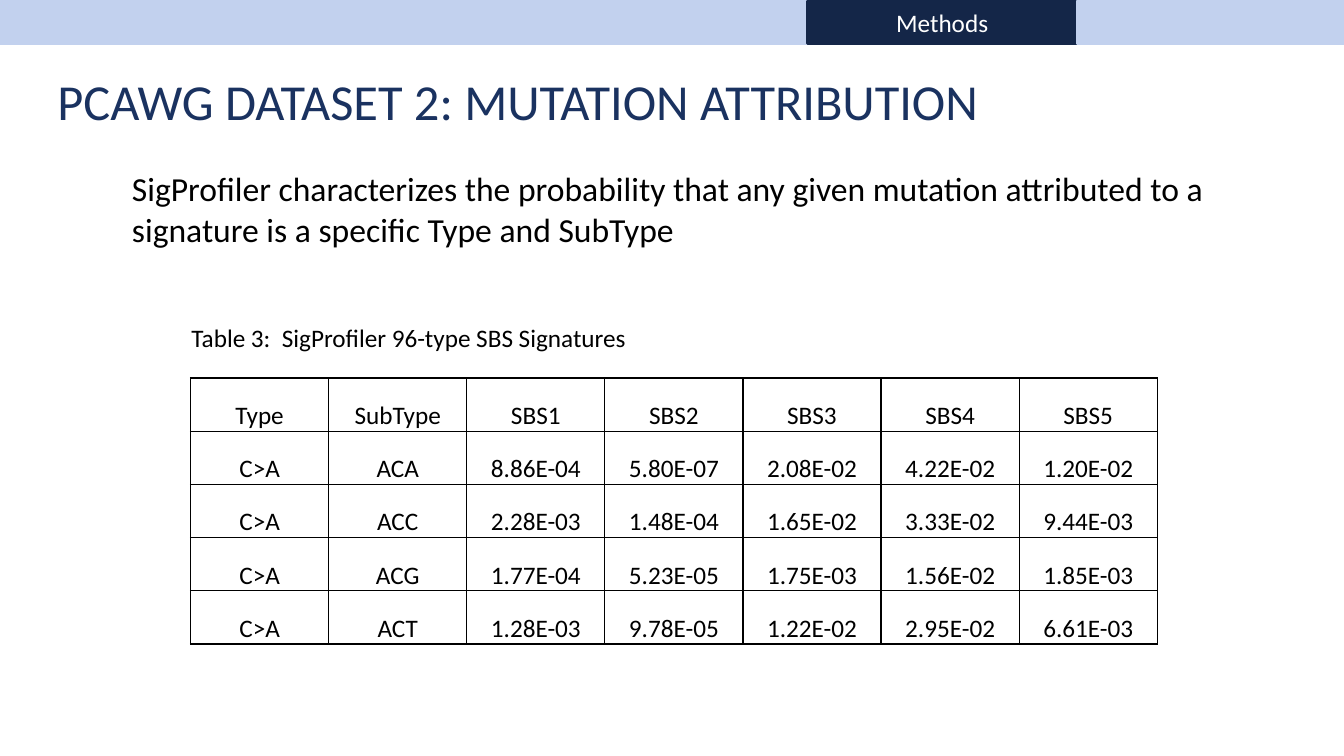
from lxml.etree import SubElement
from pptx import Presentation
from pptx.dml.color import RGBColor
from pptx.enum.shapes import MSO_SHAPE
from pptx.enum.text import MSO_ANCHOR as ANCHOR, MSO_AUTO_SIZE as AUTO_SIZE, PP_ALIGN as ALIGN
from pptx.oxml.ns import qn
from pptx.util import Inches, Pt

SLIDE_WIDTH, SLIDE_HEIGHT = 13.33, 7.5
NAVY, PALE_BLUE, TITLE_BLUE = "142648", "C2D1EE", "1A3260"
BLACK, WHITE = "000000", "FFFFFF"

SECTIONS = ["", "", "", "Methods", ""]
SIGNATURES = [
    ["Type", "SubType", "SBS1", "SBS2", "SBS3", "SBS4", "SBS5"],
    ["C>A", "ACA", "8.86E-04", "5.80E-07", "2.08E-02", "4.22E-02", "1.20E-02"],
    ["C>A", "ACC", "2.28E-03", "1.48E-04", "1.65E-02", "3.33E-02", "9.44E-03"],
    ["C>A", "ACG", "1.77E-04", "5.23E-05", "1.75E-03", "1.56E-02", "1.85E-03"],
    ["C>A", "ACT", "1.28E-03", "9.78E-05", "1.22E-02", "2.95E-02", "6.61E-03"],
]
CELL_FORMAT = {
    "vertical_anchor": ANCHOR.BOTTOM,
    "margin_left": Inches(0.01),
    "margin_right": Inches(0.01),
    "margin_top": Inches(0.01),
    "margin_bottom": Inches(0),
}


def color(hex_value):
    return RGBColor.from_string(hex_value)


def set_attributes(target, values):
    for name, value in values.items():
        setattr(target, name, value)


def write(frame, words, size, hex_color, align=ALIGN.LEFT):
    frame.text = words
    paragraph = frame.paragraphs[0]
    paragraph.alignment = align
    set_attributes(paragraph.font, {"name": "Calibri", "size": Pt(size)})
    paragraph.font.color.rgb = color(hex_color)


def add_title(slide, words):
    title = slide.shapes.title
    set_attributes(title, {"left": Inches(0.47), "top": Inches(0.65),
                           "width": Inches(12.27), "height": Inches(0.7)})
    set_attributes(title.text_frame, {"vertical_anchor": ANCHOR.BOTTOM,
                                      "auto_size": AUTO_SIZE.NONE})
    write(title.text_frame, words, 36, TITLE_BLUE)


def add_section_bar(slide):
    pitch = 2.67
    for index, section in enumerate(SECTIONS):
        left = index * pitch
        width = min(pitch, SLIDE_WIDTH - left)
        tab = slide.shapes.add_shape(MSO_SHAPE.RECTANGLE, Inches(left), Inches(0.01),
                                     Inches(width), Inches(0.42))
        tab.shadow.inherit = False
        tab_color = color(NAVY if section else PALE_BLUE)
        tab.fill.solid()
        tab.fill.fore_color.rgb = tab_color
        tab.line.color.rgb = tab_color
        tab.line.width = Pt(1.75)
        if section:
            tab.text_frame.vertical_anchor = ANCHOR.MIDDLE
            write(tab.text_frame, section, 18, WHITE, ALIGN.CENTER)


def add_text(slide, words, left, top, width, height, size):
    frame = slide.shapes.add_textbox(Inches(left), Inches(top),
                                     Inches(width), Inches(height)).text_frame
    set_attributes(frame, {"word_wrap": True, "auto_size": AUTO_SIZE.SHAPE_TO_FIT_TEXT})
    write(frame, words, size, BLACK)


def add_borders(cell):
    properties = cell._tc.get_or_add_tcPr()
    for side in ("a:lnL", "a:lnR", "a:lnT", "a:lnB"):
        border = SubElement(properties, qn(side), w=str(Pt(1)))
        fill = SubElement(border, qn("a:solidFill"))
        SubElement(fill, qn("a:srgbClr"), val=BLACK)


def add_signature_table(slide):
    rows, columns = len(SIGNATURES), len(SIGNATURES[0])
    table = slide.shapes.add_table(rows, columns, Inches(1.89), Inches(3.75),
                                   Inches(9.59), Inches(2.64)).table
    set_attributes(table, {"first_row": False, "horz_banding": False})
    for row, values in enumerate(SIGNATURES):
        for column, value in enumerate(values):
            cell = table.cell(row, column)
            set_attributes(cell, CELL_FORMAT)
            add_borders(cell)
            cell.fill.background()
            write(cell.text_frame, value, 18, BLACK, ALIGN.CENTER)


def main():
    deck = Presentation()
    set_attributes(deck, {"slide_width": Inches(SLIDE_WIDTH),
                          "slide_height": Inches(SLIDE_HEIGHT)})
    slide = deck.slides.add_slide(deck.slide_layouts[5])

    # Heading and section navigation
    add_title(slide, "PCAWG DATASET 2: MUTATION ATTRIBUTION")
    add_section_bar(slide)

    # Captioned table of signatures
    add_text(slide, "Table 3:  SigProfiler 96-type SBS Signatures", 1.8, 3.15, 8.89, 0.4, 18)
    add_signature_table(slide)

    # Explanation
    add_text(slide, "SigProfiler characterizes the probability that any given mutation "
             "attributed to a signature is a specific Type and SubType",
             1.21, 1.62, 10.95, 0.91, 24)

    deck.save("out.pptx")


if __name__ == "__main__":
    main()
